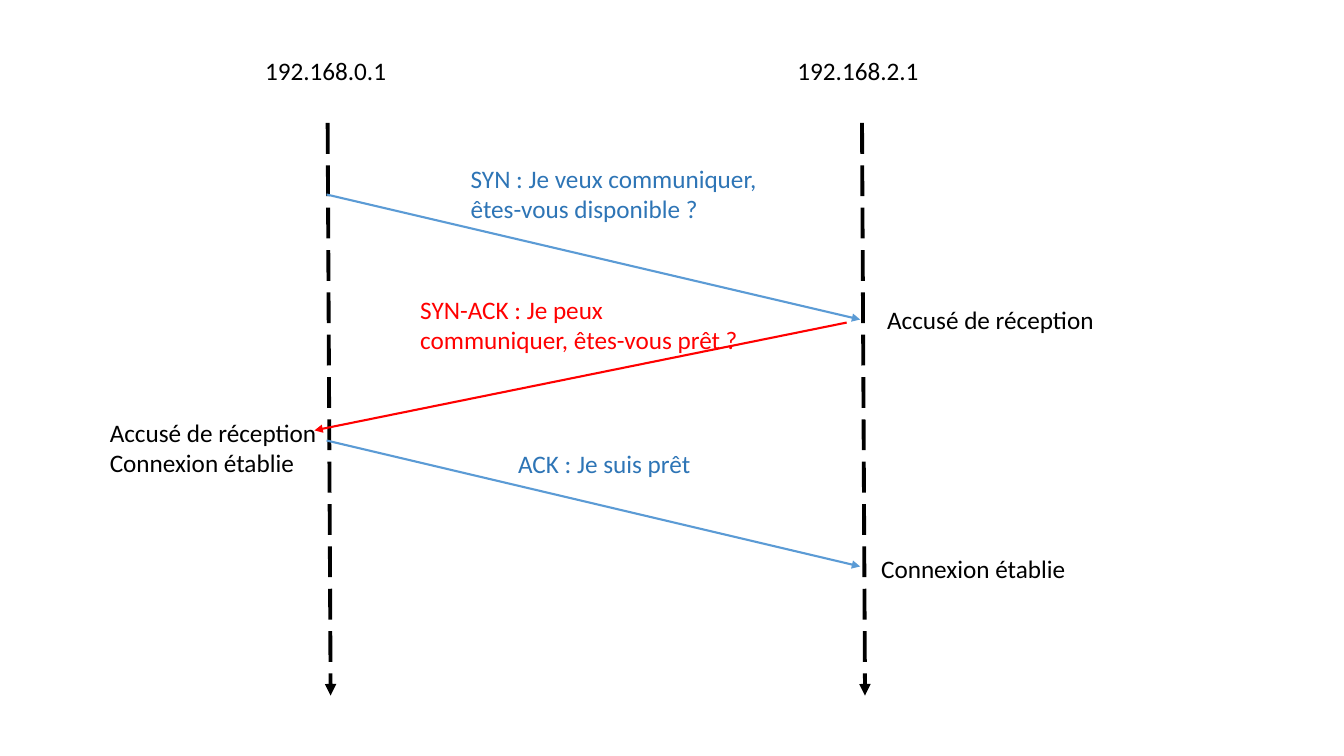
import pptx
import pptx.dml.color
import pptx.enum.dml
import pptx.enum.shapes
import pptx.enum.text
import pptx.oxml.ns
import pptx.util
import lxml.etree

THEME = {
    "font": "Calibri", "size": 18,
    "text": "000000", "axis": "000000",
    "client": "5B9BD5", "client_text": "2E75B6",
    "server": "FF0000", "server_text": "FF0000",
    "axis_width": 2.75, "message_width": 1.5,
}
SLIDE_WIDTH, SLIDE_HEIGHT = 13.33, 7.5

# All places are percentages of the slide's width and height.
AXIS_TOP, AXIS_BOTTOM, AXIS_LEAN = 16.27, 92, 0.22
HOST_TOP, HOST_WIDTH = 6.67, 11.18
LINE_HEIGHT = {1: 5.4, 2: 9.47}

# address, label left, lifeline
HOSTS = [("192.168.0.1", 18.98, 24.38), ("192.168.2.1", 58.59, 64.14)]

# sender, arrow start, arrow end, words, label (left, top, width), label lines
MESSAGES = [
    ("client", (24.3, 25.73), (64, 42.27),
     "SYN : Je veux communiquer, êtes-vous disponible ?", (34.28, 20.93, 23.33), 2),
    ("server", (63, 42.67), (23.4, 56.93),
     "SYN-ACK : Je peux communiquer, êtes-vous prêt ?", (30.53, 38.27, 25.36), 2),
    ("client", (24.3, 58.27), (64, 74.93),
     "ACK : Je suis prêt", (37.81, 58.67, 15.23), 1),
]

RECEIVED, ESTABLISHED = "Accusé de réception", "Connexion établie"
# paragraphs, (left, top, width)
STATES = [
    ([RECEIVED], (65.27, 39.6, 19.8)),
    ([RECEIVED, ESTABLISHED], (7.43, 54.53, 19.8)),
    ([ESTABLISHED], (64.82, 72.53, 17.63)),
]


def across(share):
    """Turn a percentage of the slide width into a length."""
    return pptx.util.Inches(SLIDE_WIDTH * share / 100)


def down(share):
    """Turn a percentage of the slide height into a length."""
    return pptx.util.Inches(SLIDE_HEIGHT * share / 100)


def add_arrow(slide, start, end, color, width, dash=None):
    """Draw a straight arrow from start to end."""
    arrow = slide.shapes.add_connector(
        pptx.enum.shapes.MSO_CONNECTOR.STRAIGHT,
        across(start[0]), down(start[1]), across(end[0]), down(end[1]))
    arrow.line.color.rgb = pptx.dml.color.RGBColor.from_string(THEME[color])
    arrow.line.width = pptx.util.Pt(THEME[width])
    if dash:
        arrow.line.dash_style = dash
    qualified = pptx.oxml.ns.qn
    outline = arrow.line._get_or_add_ln()
    lxml.etree.SubElement(outline, qualified("a:tailEnd"), type="triangle")
    lxml.etree.SubElement(arrow._element.spPr, qualified("a:effectLst"))


def add_label(slide, paragraphs, place, lines, color):
    """Write paragraphs in a wrapping text box at (left, top, width)."""
    left, top, width = place
    box = slide.shapes.add_textbox(
        across(left), down(top), across(width), down(LINE_HEIGHT[lines]))
    frame = box.text_frame
    frame.word_wrap = True
    frame.auto_size = pptx.enum.text.MSO_AUTO_SIZE.SHAPE_TO_FIT_TEXT
    frame.text = "\n".join(paragraphs)
    for paragraph in frame.paragraphs:
        paragraph.font.name = THEME["font"]
        paragraph.font.size = pptx.util.Pt(THEME["size"])
        paragraph.font.color.rgb = pptx.dml.color.RGBColor.from_string(THEME[color])


def build():
    """Build the handshake slide and save it."""
    presentation = pptx.Presentation()
    presentation.slide_width = across(100)
    presentation.slide_height = down(100)
    slide = presentation.slides.add_slide(presentation.slide_layouts[6])

    for address, left, lifeline in HOSTS:
        add_arrow(slide, (lifeline, AXIS_TOP), (lifeline + AXIS_LEAN, AXIS_BOTTOM),
                  "axis", "axis_width", pptx.enum.dml.MSO_LINE.LONG_DASH)
        add_label(slide, [address], (left, HOST_TOP, HOST_WIDTH), 1, "text")
    for sender, start, end, words, place, lines in MESSAGES:
        add_arrow(slide, start, end, sender, "message_width")
        add_label(slide, [words], place, lines, sender + "_text")
    for paragraphs, place in STATES:
        add_label(slide, paragraphs, place, len(paragraphs), "text")

    presentation.save("out.pptx")


build()
